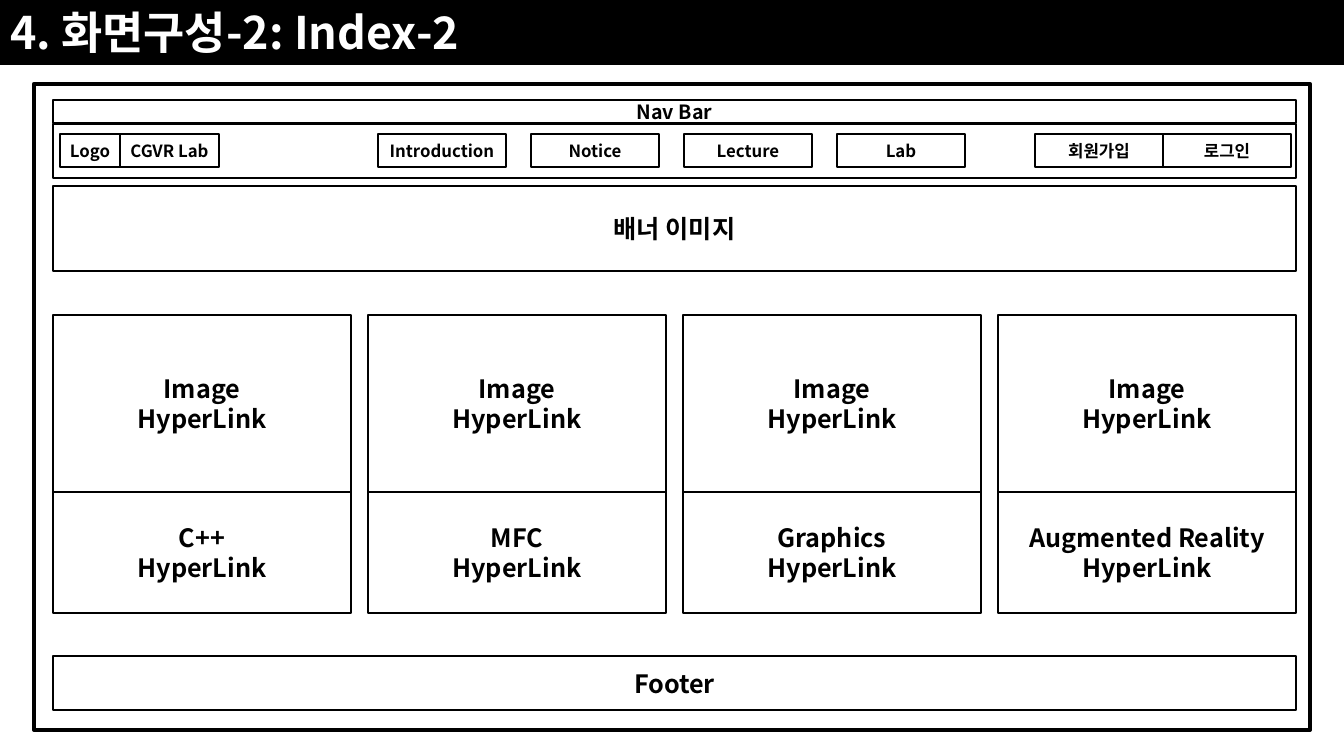
import pptx
import pptx.util
import pptx.dml.color
import pptx.enum.shapes
import pptx.enum.text
import pptx.oxml.ns
import lxml.etree

PX = 9144000 / 1008  # EMU in one px
BLACK = pptx.dml.color.RGBColor(0, 0, 0)
WHITE = pptx.dml.color.RGBColor(255, 255, 255)
FONT = "Noto Sans CJK KR"
ALIGN = pptx.enum.text.PP_ALIGN
ANCHOR = pptx.enum.text.MSO_ANCHOR


def write(shape, text, size, color, align, frame):
    """Fill a shape with bold text, one paragraph a line."""
    shape.text_frame.text = text
    for name, value in frame.items():
        setattr(shape.text_frame, name, value)
    look = {"name": FONT, "size": pptx.util.Pt(size), "bold": True}
    for para in shape.text_frame.paragraphs:
        para.alignment = align
        for run in para.runs:
            for name, value in look.items():
                setattr(run.font, name, value)
            run.font.color.rgb = color
            east = lxml.etree.Element(pptx.oxml.ns.qn("a:ea"), typeface=FONT)
            run.font._element.find(pptx.oxml.ns.qn("a:latin")).addnext(east)


def box(shapes, area, text="", size=18, line=1):
    """Draw a white box with a black outline; area is in px."""
    shape = shapes.add_shape(pptx.enum.shapes.MSO_SHAPE.RECTANGLE,
                             *[round(n * PX) for n in area])
    shape.shadow.inherit = False
    shape.fill.solid()
    shape.fill.fore_color.rgb = WHITE
    shape.line.color.rgb = BLACK
    shape.line.width = pptx.util.Pt(line)
    if text:
        frame = {"word_wrap": True, "vertical_anchor": ANCHOR.MIDDLE,
                 "margin_left": 0, "margin_right": 0}
        write(shape, text, size, BLACK, ALIGN.CENTER, frame)


deck = pptx.Presentation()
deck.slide_width = round(1344 * PX)
deck.slide_height = round(756 * PX)
slide = deck.slides.add_slide(deck.slide_layouts[5])
page = slide.shapes

# Title band
title = page.title
place = {"left": 0, "top": 0, "width": deck.slide_width, "height": round(65 * PX)}
for name, value in place.items():
    setattr(title, name, value)
title.fill.solid()
title.fill.fore_color.rgb = BLACK
write(title, "4. 화면구성-2: Index-2", 32, WHITE, ALIGN.LEFT,
      {"word_wrap": True, "vertical_anchor": ANCHOR.TOP,
       "auto_size": pptx.enum.text.MSO_AUTO_SIZE.NONE})

# Page frame and full-width bands
LEFT, WIDE = 53, 1243
box(page, (34, 84, 1276, 646), line=3)
for top, high, text, size in [(124, 54, "", 12), (186, 85, "배너 이미지", 18),
                              (656, 54, "Footer", 18), (100, 23, "Nav Bar", 14)]:
    box(page, (LEFT, top, WIDE, high), text, size)

# Navigation: logo, menu, account
ROW, TALL, TAB = 134, 33, 128
box(page, (60, ROW, 60, TALL), "Logo", 12)
box(page, (120, ROW, 99, TALL), "CGVR Lab", 12)
for i, text in enumerate(["Introduction", "Notice", "Lecture", "Lab"]):
    box(page, (378 + 153 * i, ROW, TAB, TALL), text, 12)
user = page.add_group_shape().shapes
for i, text in enumerate(["회원가입", "로그인"]):
    box(user, (1035 + TAB * i, ROW, TAB, TALL), text, 12)

# Course cards
for i, text in enumerate(["C++\nHyperLink", "MFC\nHyperLink", "Graphics\nHyperLink",
                          "Augmented Reality HyperLink"]):
    card = page.add_group_shape().shapes
    left = LEFT + 315 * i
    box(card, (left, 315, 298, 177), "Image\nHyperLink")
    box(card, (left, 492, 298, 121), text)

deck.save("out.pptx")
